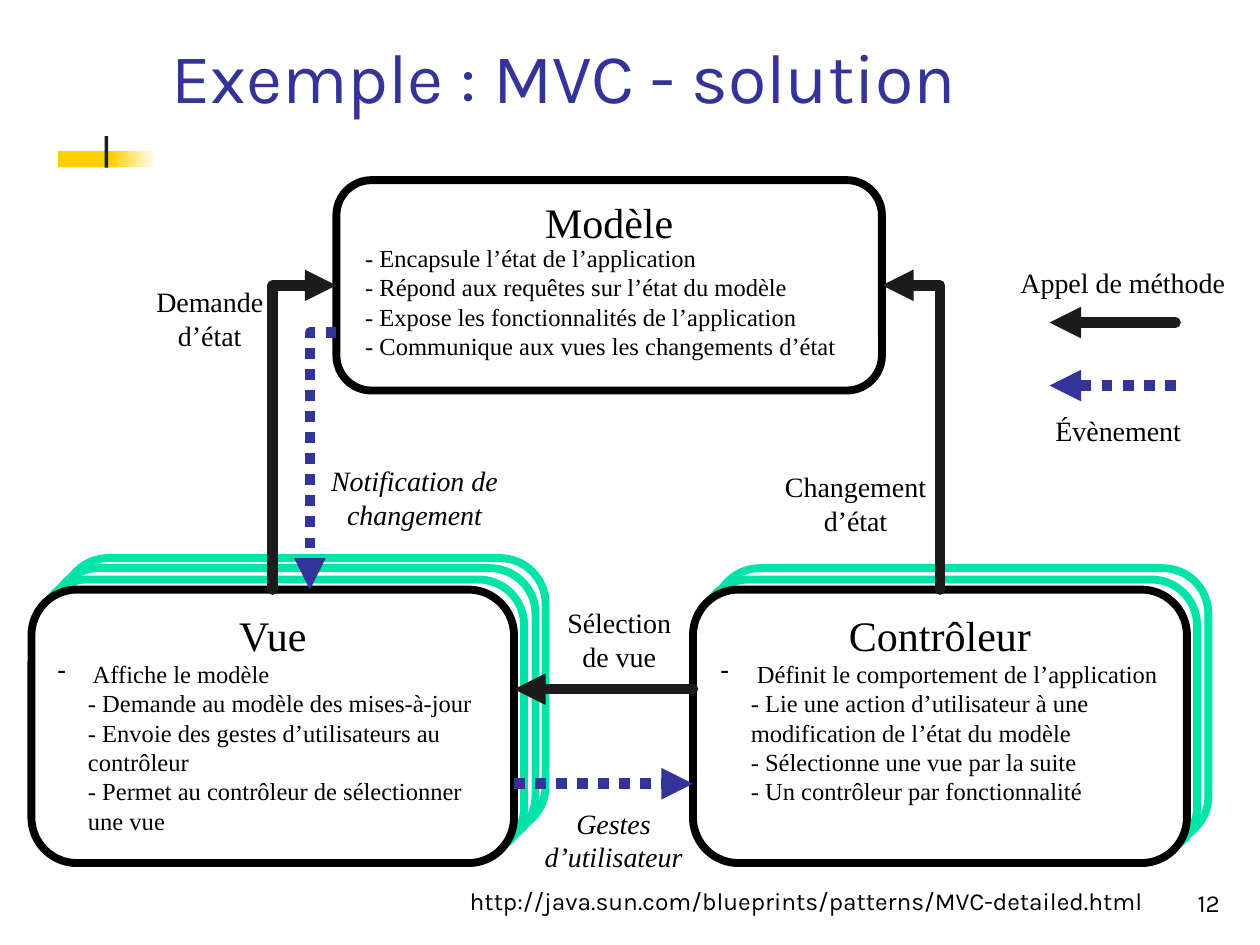
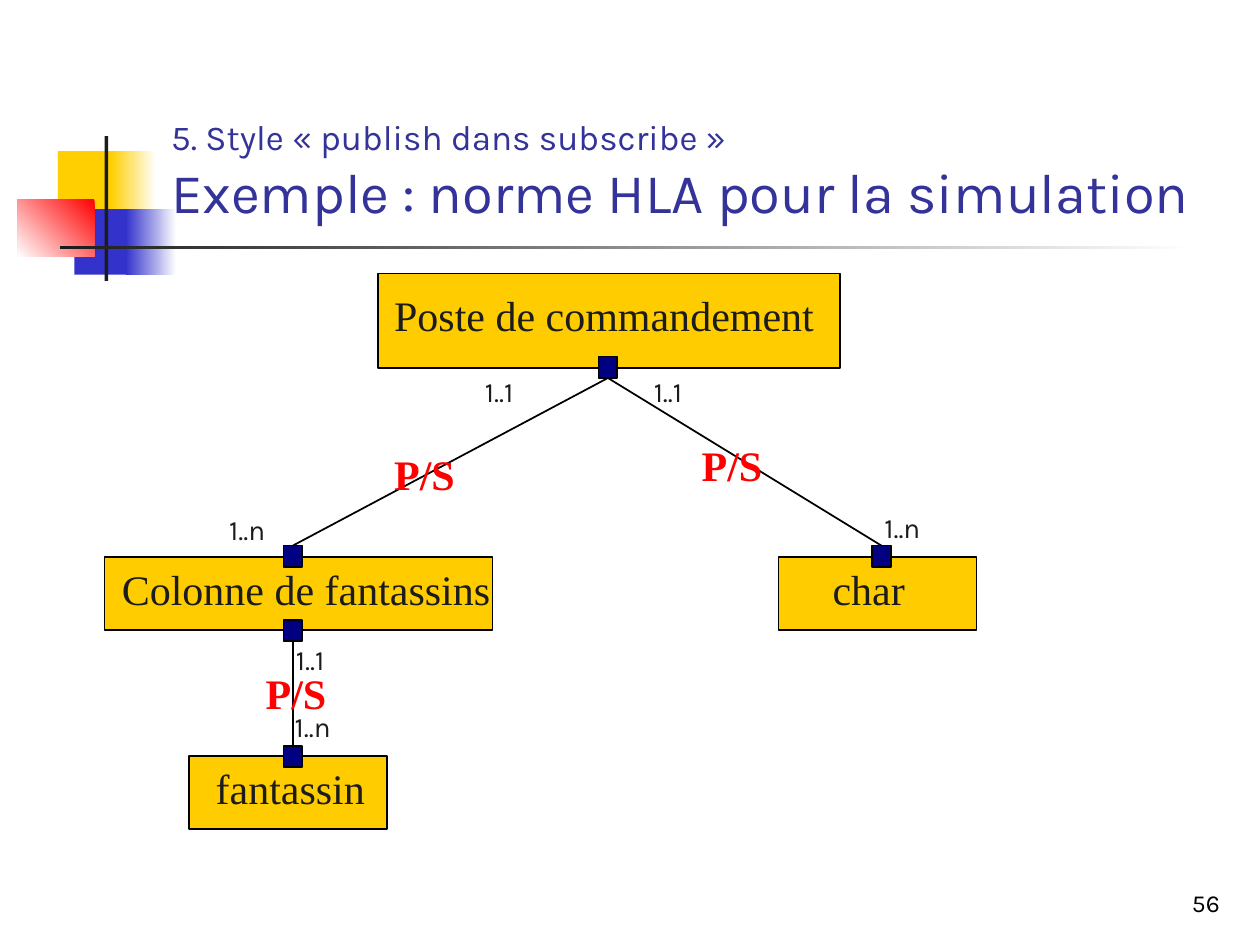
from dataclasses import dataclass
from typing import NamedTuple, Optional

import lxml.etree
import pptx
import pptx.dml.color
import pptx.enum.dml
import pptx.enum.shapes
import pptx.enum.text
import pptx.oxml.ns
import pptx.util

SCALE = 9144  # EMU in one px, at 100 px to the inch
SHAPE = pptx.enum.shapes.MSO_SHAPE
LINK = pptx.enum.shapes.MSO_CONNECTOR
ALIGN = pptx.enum.text.PP_ALIGN
ANCHOR = pptx.enum.text.MSO_ANCHOR
TOP, LEFT, BOTTOM, RIGHT = range(4)


class Face(NamedTuple):
    size: int
    color: str
    font: str
    bold: bool = False
    italic: bool = False


@dataclass(frozen=True)
class Theme:
    white: str = "FFFFFF"
    black: str = "000000"
    ink: str = "1C1C1C"
    event: str = "333399"
    ghost: str = "00E4A8"
    node: str = "FFCC00"
    port: str = "000080"
    gold: str = "FFCF01"
    blue: str = "3333CC"
    red: str = "FF0000"
    thin: float = 1
    edge: float = 4.5
    arrow: float = 6
    title: Face = Face(40, "333399", "Karla")
    lesser: Face = Face(32, "333399", "Karla")
    kicker: Face = Face(20, "333399", "Karla")
    foot: Face = Face(14, "000000", "Karla")
    count: Face = Face(16, "1C1C1C", "Karla")
    head: Face = Face(24, "000000", "Times New Roman")
    body: Face = Face(14, "000000", "Times New Roman")
    label: Face = Face(16, "000000", "Times New Roman")
    signal: Face = Face(16, "000000", "Times New Roman", italic=True)
    name: Face = Face(24, "1C1C1C", "Times New Roman")
    bind: Face = Face(24, "FF0000", "Times New Roman", bold=True)


THEME = Theme()


class Box(NamedTuple):
    x: int
    y: int
    w: int
    h: int


class Band(NamedTuple):
    box: Box
    start: str
    stop: Optional[str] = None
    angle: int = 180


class Label(NamedTuple):
    text: str
    box: Box
    face: Face
    align: ALIGN = ALIGN.CENTER
    wrap: bool = True


class Card(NamedTuple):
    name: str
    box: Box
    body: Box
    lines: list[str]
    ghosts: int = 0
    dashed: bool = False


class Node(NamedTuple):
    name: str
    box: Box
    shift: int
    drop: int = 5


BANDS = [
    Band(Box(46, 120, 48, 52), THEME.gold),
    Band(Box(88, 120, 36, 52), THEME.white, THEME.gold),
    Band(Box(59, 166, 46, 52), THEME.blue),
    Band(Box(100, 166, 40, 52), THEME.white, THEME.blue),
    Band(Box(14, 158, 61, 46), THEME.red, THEME.white, 225),
    Band(Box(83, 108, 3, 115), THEME.ink),
    Band(Box(48, 195, 900, 3), THEME.white, THEME.ink),
]

CARDS = [
    Card("Contrôleur", Box(550, 468, 392, 217), Box(562, 518, 368, 127), [
        " Définit le comportement de l’application",
        "- Lie une action d’utilisateur à une modification de l’état du modèle",
        "- Sélectionne une vue par la suite",
        "- Un contrôleur par fonctionnalité",
    ], ghosts=2, dashed=True),
    Card("Modèle", Box(267, 143, 433, 167), Box(280, 188, 407, 104), [
        "- Encapsule l’état de l’application",
        "- Répond aux requêtes sur l’état du modèle",
        "- Expose les fonctionnalités de l’application",
        "- Communique aux vues les changements d’état",
    ]),
    Card("Vue", Box(25, 468, 383, 217), Box(36, 518, 360, 150), [
        " Affiche le modèle",
        "- Demande au modèle des mises-à-jour",
        "- Envoie des gestes d’utilisateurs au contrôleur",
        "- Permet au contrôleur de sélectionner une vue",
    ], ghosts=3, dashed=True),
]

NOTES = [
    Label("Demande d’état", Box(108, 221, 117, 64), THEME.label),
    Label("Notification de changement", Box(250, 363, 158, 64), THEME.signal),
    Label("Gestes d’utilisateur", Box(408, 635, 158, 64), THEME.signal),
    Label("Changement d’état", Box(600, 368, 158, 64), THEME.label),
    Label("Sélection de vue", Box(433, 476, 117, 64), THEME.label),
    Label("Appel de méthode", Box(800, 206, 192, 37), THEME.label, ALIGN.LEFT),
    Label("Évènement", Box(825, 323, 125, 37), THEME.label),
    Label("http://java.sun.com/blueprints/patterns/MVC-detailed.html",
          Box(363, 698, 560, 34), THEME.foot, ALIGN.LEFT, False),
]

NODES = [
    Node("Poste de commandement", Box(300, 217, 367, 75), -4, 13),
    Node("Colonne de fantassins", Box(83, 442, 308, 58), 6),
    Node("char", Box(618, 442, 157, 58), -7),
    Node("fantassin", Box(150, 600, 157, 58), 2),
]
PORTS = {"poste": (475, 283), "colonne": (225, 433), "char": (692, 433),
         "sortie": (225, 492), "fantassin": (225, 592)}
JOINS = [("poste", "colonne"), ("poste", "char"), ("sortie", "fantassin")]
COUNTS = [("1..n", 692, 400), ("1..n", 172, 402), ("1..1", 375, 292),
          ("1..1", 509, 292), ("1..n", 224, 558), ("1..1", 225, 505)]
BINDS = [(303, 351), (547, 344), (201, 525)]


def emu(*px: int) -> list[pptx.util.Emu]:
    return [pptx.util.Emu(n * SCALE) for n in px]


def rgb(code: str) -> pptx.dml.color.RGBColor:
    return pptx.dml.color.RGBColor.from_string(code)


def style(part, face: Face) -> None:
    """Apply a face to every run of a paragraph."""
    for run in part.runs:
        font = run.font
        font.size, font.name = pptx.util.Pt(face.size), face.font
        font.bold, font.italic = face.bold, face.italic
        font.color.rgb = rgb(face.color)


def write(shape, text: str, face: Face, align=ALIGN.LEFT, wrap: bool = True,
          anchor=ANCHOR.TOP):
    frame = shape.text_frame
    frame.text = text
    frame.word_wrap, frame.vertical_anchor = wrap, anchor
    for part in frame.paragraphs:
        part.alignment = align
        style(part, face)
    return frame


def add_text(slide, item: Label, anchor=ANCHOR.TOP):
    shape = slide.shapes.add_textbox(*emu(*item.box))
    return write(shape, item.text, item.face, item.align, item.wrap, anchor)


def add_box(slide, box: Box, fill: Optional[str], line: Optional[str] = None,
            width: float = 1, kind=SHAPE.RECTANGLE):
    shape = slide.shapes.add_shape(kind, *emu(*box))
    shape.shadow.inherit = False
    if fill:
        shape.fill.solid()
        shape.fill.fore_color.rgb = rgb(fill)
    else:
        shape.fill.background()
    if line:
        shape.line.color.rgb = rgb(line)
        shape.line.width = pptx.util.Pt(width)
    else:
        shape.line.fill.background()
    return shape


def add_bands(slide, floor: int) -> None:
    """Draw the corner motif down to the given height."""
    for band in BANDS:
        box = band.box
        if box.y >= floor:
            continue
        shape = add_box(slide, box._replace(h=min(box.h, floor - box.y)), band.start)
        if band.stop:
            shape.fill.gradient()
            shape.fill.gradient_angle = band.angle
            for stop, color in zip(shape.fill.gradient_stops, (band.start, band.stop)):
                stop.color.rgb = rgb(color)


def add_frame(deck, title: str, face: Face, page: str, depth: int, floor: int):
    """Add a slide with its motif, title and page number."""
    slide = deck.slides.add_slide(deck.slide_layouts[6])
    add_bands(slide, floor)
    frame = add_text(slide, Label(title, Box(126, 23, 852, depth), face, ALIGN.LEFT),
                     ANCHOR.BOTTOM)
    add_text(slide, Label(page, Box(770, 683, 208, 50), THEME.foot, ALIGN.RIGHT),
             ANCHOR.BOTTOM)
    return slide, frame


def add_link(slide, start: tuple[int, int], end: tuple[int, int], kind=LINK.STRAIGHT):
    link = slide.shapes.add_connector(kind, *emu(*start, *end))
    lxml.etree.SubElement(link._element.spPr, pptx.oxml.ns.qn("a:effectLst"))
    link.line.color.rgb = rgb(THEME.black)
    link.line.width = pptx.util.Pt(THEME.thin)
    return link


def point(shape, event: bool = False, tip: str = "tailEnd") -> None:
    """Make a line a call arrow, or a dotted event arrow."""
    line = shape.line
    line.color.rgb = rgb(THEME.event if event else THEME.ink)
    line.width = pptx.util.Pt(THEME.arrow)
    stroke = shape._element.spPr.find(pptx.oxml.ns.qn("a:ln"))
    if event:
        line.dash_style = pptx.enum.dml.MSO_LINE.ROUND_DOT
    else:
        stroke.set("cap", "rnd")
    lxml.etree.SubElement(stroke, pptx.oxml.ns.qn(f"a:{tip}")).set("type", "triangle")


def add_card(slide, card: Card):
    for rank in range(card.ghosts, 0, -1):
        step = int(8.5 * rank)
        ghost = card.box._replace(x=card.box.x + step, y=card.box.y - step)
        add_box(slide, ghost, None, THEME.ghost, THEME.edge, SHAPE.ROUNDED_RECTANGLE)
    shape = add_box(slide, card.box, THEME.white, THEME.black, THEME.edge,
                    SHAPE.ROUNDED_RECTANGLE)
    write(shape, card.name, THEME.head, ALIGN.CENTER, False)
    frame = add_text(slide, Label("\n".join(card.lines), card.body, THEME.body, ALIGN.LEFT))
    if card.dashed:
        hang = 24 * SCALE
        for part in frame.paragraphs:
            part._p.get_or_add_pPr().set("marL", str(hang))
        props = frame.paragraphs[0]._p.get_or_add_pPr()
        props.set("indent", str(-hang))
        lxml.etree.SubElement(props, pptx.oxml.ns.qn("a:buChar")).set("char", "-")
    return shape


def add_bend(slide, model, side: int, card) -> None:
    """Draw a call arrow from the top of a card to a side of the model."""
    link = add_link(slide, (0, 0), (1, 1), LINK.ELBOW)
    link.begin_connect(model, side)
    link.end_connect(card, TOP)
    link._element.spPr.find(pptx.oxml.ns.qn("a:prstGeom")).set("prst", "bentConnector2")
    point(link, tip="headEnd")


def draw_mvc(deck) -> None:
    slide, _ = add_frame(deck, "Exemple : MVC - solution", THEME.title, "12", 75, 133)
    control, model, view = [add_card(slide, card) for card in CARDS]
    for note in NOTES:
        add_text(slide, note)
    add_bend(slide, model, RIGHT, control)
    add_bend(slide, model, LEFT, view)
    for start, end, event in [((550, 547), (408, 547), False),
                              ((408, 622), (550, 622), True),
                              ((933, 256), (833, 256), False),
                              ((933, 306), (833, 306), True)]:
        point(add_link(slide, start, end), event)
    trace = slide.shapes.build_freeform(267, 264, scale=SCALE)
    trace.add_line_segments([(246, 264), (246, 468)], close=False)
    notice = trace.convert_to_shape()
    notice.shadow.inherit = False
    notice.fill.background()
    point(notice, event=True)


def draw_hla(deck) -> None:
    title = "5. Style «\u00a0publish dans subscribe\u00a0»\nExemple : norme HLA pour la simulation"
    title = title.replace("\u00a0", " ")
    slide, frame = add_frame(deck, title, THEME.lesser, "56", 160, 750)
    style(frame.paragraphs[0], THEME.kicker)
    for node in NODES:
        shape = add_box(slide, node.box, THEME.node, THEME.black, THEME.thin)
        text = write(shape, node.name, THEME.name, ALIGN.CENTER, False)
        text.margin_left, text.margin_right, text.margin_top = emu(
            10 + node.shift, 10 - node.shift, node.drop)
    ports = {key: add_box(slide, Box(*spot, 15, 17), THEME.port, THEME.black, THEME.thin)
             for key, spot in PORTS.items()}
    for upper, lower in JOINS:
        link = add_link(slide, (0, 0), (1, 1))
        link.begin_connect(ports[upper], BOTTOM)
        link.end_connect(ports[lower], TOP)
    for text, x, y in COUNTS:
        add_text(slide, Label(text, Box(x, y, 58, 37), THEME.count, ALIGN.LEFT, False))
    for x, y in BINDS:
        add_text(slide, Label("P/S", Box(x, y, 68, 50), THEME.bind, ALIGN.LEFT, False))


def main() -> None:
    deck = pptx.Presentation()
    deck.slide_width, deck.slide_height = emu(1000, 750)
    draw_mvc(deck)
    draw_hla(deck)
    deck.save("out.pptx")


if __name__ == "__main__":
    main()
